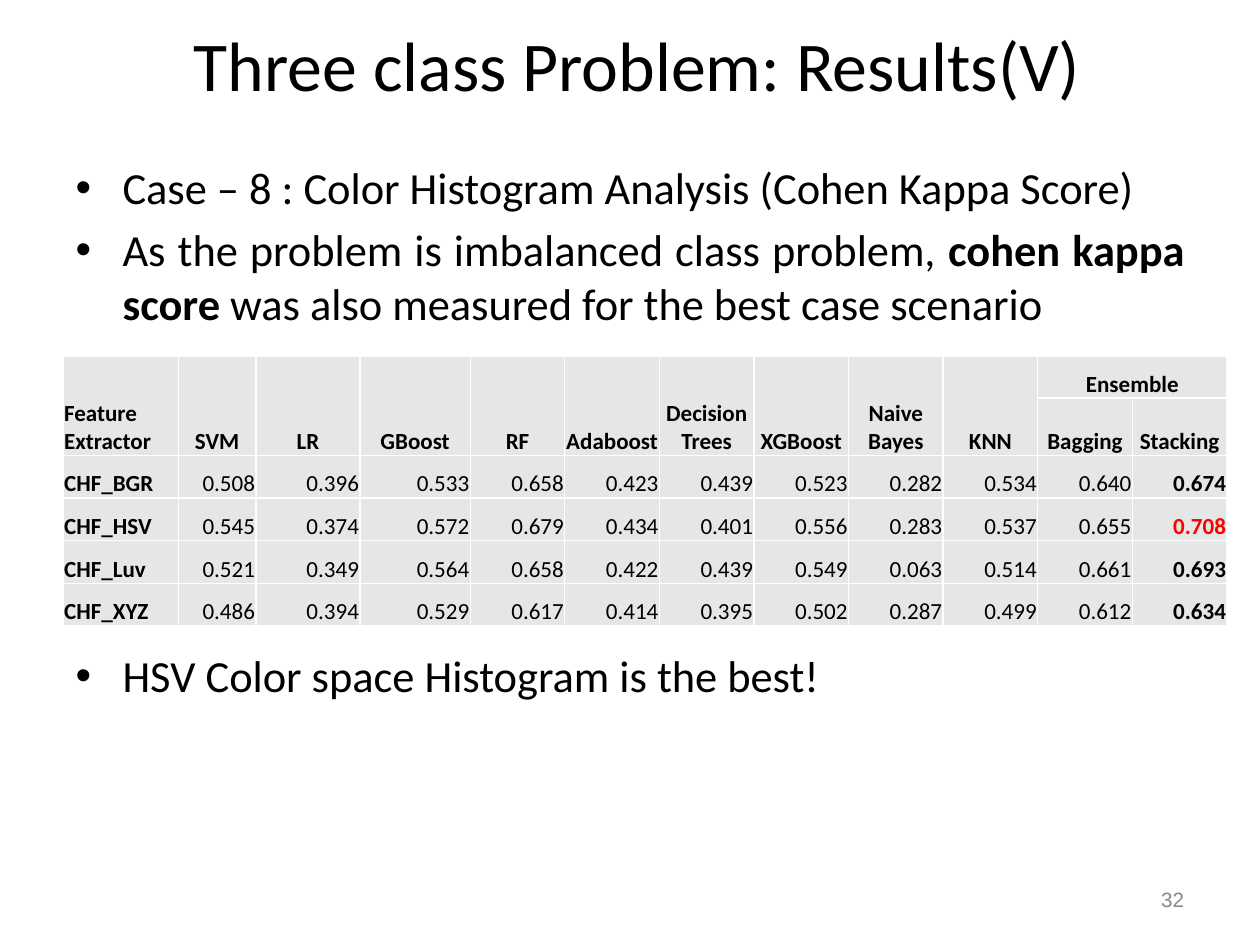
from lxml import etree
from pptx import Presentation
from pptx.dml.color import RGBColor
from pptx.enum.text import MSO_ANCHOR, PP_ALIGN
from pptx.oxml.ns import qn
from pptx.util import Pt

LEFT, CENTER, RIGHT, JUSTIFY = PP_ALIGN.LEFT, PP_ALIGN.CENTER, PP_ALIGN.RIGHT, PP_ALIGN.JUSTIFY
TOP, MIDDLE, BOTTOM = MSO_ANCHOR.TOP, MSO_ANCHOR.MIDDLE, MSO_ANCHOR.BOTTOM
rgb = RGBColor.from_string


def add_run(p, text, size=28, font="Calibri", color="000000", bold=False, align=LEFT):
    p.alignment = align
    r = p.add_run()
    r.text = text
    r.font.size = Pt(size)
    r.font.name = font
    r.font.bold = bold
    r.font.color.rgb = rgb(color)


def add_box(s, x, y, w, h, anchor):
    tf = s.shapes.add_textbox(Pt(x), Pt(y), Pt(w), Pt(h)).text_frame
    tf.word_wrap = True
    tf.vertical_anchor = anchor
    tf.margin_left = tf.margin_right = Pt(7.9)
    tf.margin_top = tf.margin_bottom = Pt(4)
    return tf


prs = Presentation()
prs.slide_width, prs.slide_height = Pt(793.75), Pt(595.25)
s = prs.slides.add_slide(prs.slide_layouts[6])

tf = add_box(s, 44.6, 10.4, 714.3, 59, MIDDLE)
add_run(tf.paragraphs[0], "Three class Problem: Results(V)", size=44, align=CENTER)

bullets = [
    (0, [("Case – 8 : Color Histogram Analysis (Cohen Kappa Score)", False)]),
    (5.6, [("As the problem is imbalanced class problem, ", False),
           ("cohen kappa score", True),
           (" was also measured for the best case scenario", False)]),
    (201, [("HSV Color space Histogram is the best!", False)]),
]
tf = add_box(s, 39.8, 96.9, 714.3, 452, TOP)
for i, (gap, runs) in enumerate(bullets):
    p = tf.add_paragraph() if i else tf.paragraphs[0]
    p.space_before = Pt(gap)
    for text, bold in runs:
        add_run(p, text, bold=bold, align=JUSTIFY)
    pPr = p._p.get_or_add_pPr()
    pPr.set("marL", str(Pt(29.5)))
    pPr.set("indent", str(-Pt(29.5)))
    etree.SubElement(pPr, qn("a:buFont"), typeface="Arial")
    etree.SubElement(pPr, qn("a:buChar"), char="•")

tf = add_box(s, 568.8, 551.2, 185, 31.7, MIDDLE)
tf.paragraphs[0].line_spacing = 0.93
add_run(tf.paragraphs[0], "32", size=13, font="Arial", color="888888", align=RIGHT)

scores = [
    ["Feature Extractor", "SVM", "LR", "GBoost", "RF", "Adaboost", "Decision Trees",
     "XGBoost", "Naive Bayes", "KNN", "Ensemble", ""],
    [""] * 10 + ["Bagging", "Stacking"],
    ["CHF_BGR", "0.508", "0.396", "0.533", "0.658", "0.423", "0.439", "0.523", "0.282",
     "0.534", "0.640", "0.674"],
    ["CHF_HSV", "0.545", "0.374", "0.572", "0.679", "0.434", "0.401", "0.556", "0.283",
     "0.537", "0.655", "0.708"],
    ["CHF_Luv", "0.521", "0.349", "0.564", "0.658", "0.422", "0.439", "0.549", "0.063",
     "0.514", "0.661", "0.693"],
    ["CHF_XYZ", "0.486", "0.394", "0.529", "0.617", "0.414", "0.395", "0.502", "0.287",
     "0.499", "0.612", "0.634"],
]
widths = [72.5, 49, 65.5, 69.5] + [59.6] * 8
heights = [26.4, 36] + [26.9] * 4
last = len(widths) - 1
table = s.shapes.add_table(len(heights), len(widths), Pt(39.8), Pt(224.4),
                           Pt(sum(widths)), Pt(sum(heights))).table
table.first_row = table.horz_banding = False
for col, width in zip(table.columns, widths):
    col.width = Pt(width)
for row, height in zip(table.rows, heights):
    row.height = Pt(height)

for i, row in enumerate(scores):
    for j, text in enumerate(row):
        cell = table.cell(i, j)
        cell.vertical_anchor = BOTTOM
        cell.margin_left = cell.margin_right = cell.margin_top = Pt(0.6)
        cell.margin_bottom = 0
        tcPr = cell._tc.get_or_add_tcPr()
        for side in ("lnL", "lnR", "lnT", "lnB"):
            ln = etree.SubElement(tcPr, qn(f"a:{side}"), w=str(Pt(1)))
            fill = etree.SubElement(ln, qn("a:solidFill"))
            etree.SubElement(fill, qn("a:srgbClr"), val="FFFFFF")
        cell.fill.solid()
        cell.fill.fore_color.rgb = rgb("E6E6E6")
        if text:
            add_run(cell.text_frame.paragraphs[0], text, size=14.5,
                    bold=i < 2 or j in (0, last),
                    color="FF0000" if text == "0.708" else "000000",
                    align=LEFT if j == 0 else CENTER if i < 2 else RIGHT)

for j in range(last - 1):
    table.cell(0, j).merge(table.cell(1, j))
table.cell(0, last - 1).merge(table.cell(0, last))

prs.save("out.pptx")
